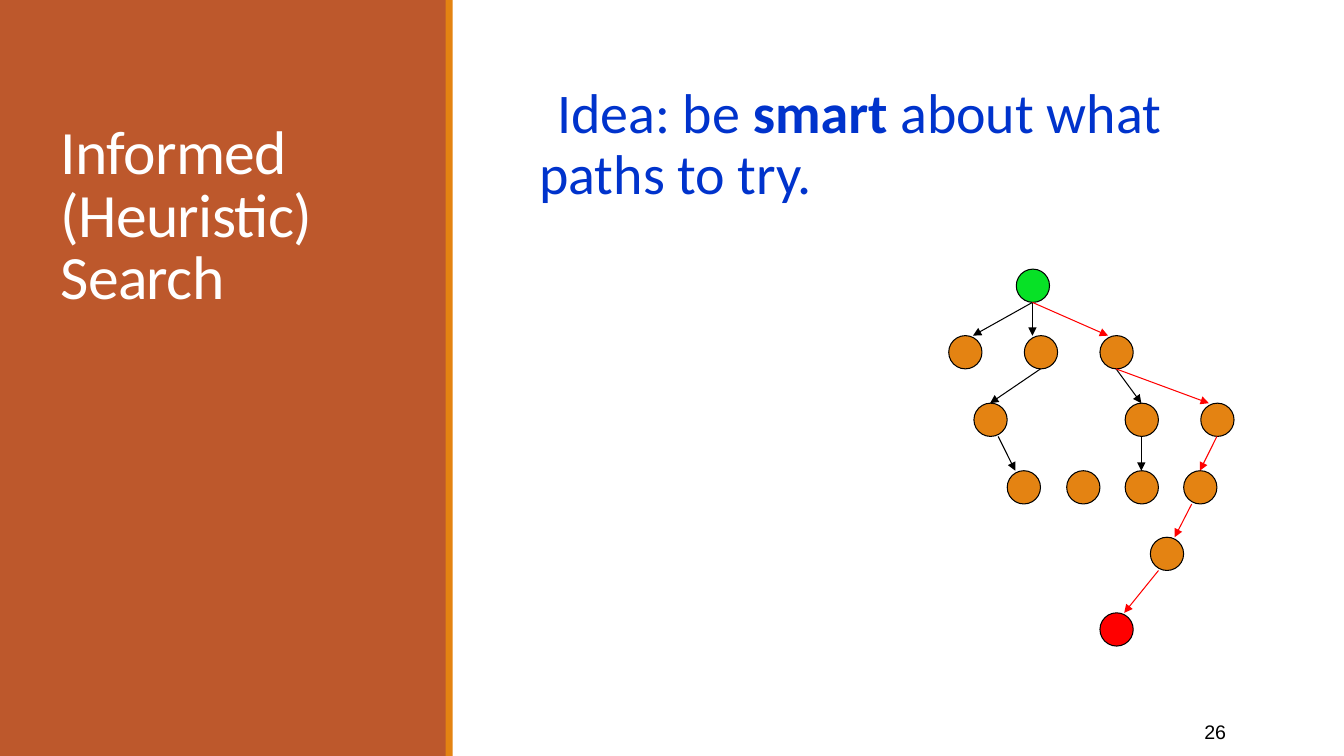
from dataclasses import dataclass
from typing import Any

import lxml.etree
import pptx
import pptx.dml.color
import pptx.enum.shapes
import pptx.enum.text
import pptx.oxml.ns
import pptx.util

EMU_PER_PX = 9144
NODE_SIZE = 33
SHIFT = 8
BLACK, RED, ORANGE, GREEN = "000000", "FF0000", "E48312", "07E126"
RUST, BLUE, WHITE = "BD582C", "0033CC", "FFFFFF"
SHAPE = pptx.enum.shapes.MSO_SHAPE
ALIGN = pptx.enum.text.PP_ALIGN
ANCHOR = pptx.enum.text.MSO_ANCHOR


@dataclass
class Node:
    left: int
    top: int
    fill: str = ORANGE


@dataclass
class Edge:
    parent: str
    child: str
    color: str = BLACK
    parent_side: int = 0
    child_side: int = 0


NODES = {
    "start": Node(1008, 267, GREEN),
    "a": Node(941, 333),
    "b": Node(1016, 333),
    "c": Node(1091, 333),
    "d": Node(966, 400),
    "e": Node(1116, 400),
    "f": Node(1191, 400),
    "g": Node(999, 467),
    "h": Node(1058, 467),
    "i": Node(1116, 467),
    "j": Node(1174, 467),
    "k": Node(1141, 533),
    "goal": Node(1091, 608, RED),
}
EDGES = [
    Edge("start", "a", child_side=1),
    Edge("start", "b", child_side=-1),
    Edge("start", "c", RED, child_side=-1),
    Edge("b", "d"),
    Edge("c", "e"),
    Edge("c", "f", RED, child_side=-1),
    Edge("d", "g", parent_side=1, child_side=-1),
    Edge("e", "i"),
    Edge("f", "j", RED),
    Edge("j", "k", RED, -1, 1),
    Edge("k", "goal", RED, -1, 1),
]


def px(n: int) -> int:
    return pptx.util.Emu(n * EMU_PER_PX)


def rgb(value: str) -> pptx.dml.color.RGBColor:
    return pptx.dml.color.RGBColor.from_string(value)


def apply(target: Any, values: dict[str, Any]) -> None:
    for name, value in values.items():
        setattr(target, name, value)


def add_child(parent: Any, tag: str, **attrs: str) -> Any:
    return lxml.etree.SubElement(parent, pptx.oxml.ns.qn(tag), attrs)


def place(sp: Any, left: int, top: int, width: int, height: int) -> None:
    apply(sp, {"left": px(left), "top": px(top),
               "width": px(width), "height": px(height)})


def add_filled(shapes: Any, kind: Any, box: tuple[int, int, int, int],
               fill: str, line: str | None = None) -> None:
    sp = shapes.add_shape(kind, *map(px, box))
    sp.shadow.inherit = False
    sp.fill.solid()
    sp.fill.fore_color.rgb = rgb(fill)
    if line:
        sp.line.color.rgb = rgb(line)
        sp.line.width = pptx.util.Pt(0.75)
    else:
        sp.line.fill.background()


def add_run(p: Any, text: str, size: int, font: str, color: str,
            bold: bool = False) -> Any:
    r = p.add_run()
    r.text = text
    apply(r.font, {"size": pptx.util.Pt(size), "name": font, "bold": bold})
    r.font.color.rgb = rgb(color)
    return r


def add_edge(shapes: Any, edge: Edge) -> None:
    parent, child = NODES[edge.parent], NODES[edge.child]
    half = NODE_SIZE // 2
    line = shapes.add_connector(
        pptx.enum.shapes.MSO_CONNECTOR.STRAIGHT,
        px(parent.left + half + edge.parent_side * SHIFT),
        px(parent.top + NODE_SIZE),
        px(child.left + half + edge.child_side * SHIFT),
        px(child.top),
    )
    line.line.color.rgb = rgb(edge.color)
    line.line.width = pptx.util.Pt(0.75)
    add_child(line.line._get_or_add_ln(), "a:tailEnd", type="triangle")
    add_child(line._element.spPr, "a:effectLst")


def fill_title(sp: Any) -> None:
    place(sp, 50, 65, 350, 250)
    tf = sp.text_frame
    apply(tf, {"word_wrap": True, "vertical_anchor": ANCHOR.BOTTOM,
               "auto_size": pptx.enum.text.MSO_AUTO_SIZE.NONE})
    p = tf.paragraphs[0]
    apply(p, {"alignment": ALIGN.LEFT, "line_spacing": 0.85})
    r = add_run(p, "Informed (Heuristic) Search", 44, "Calibri", WHITE)
    r.font._element.set("spc", "-50")


def add_idea(shapes: Any) -> None:
    tf = shapes.add_textbox(px(525), px(80), px(710), px(575)).text_frame
    apply(tf, {"word_wrap": True, "margin_left": 0, "margin_right": 0})
    p = tf.paragraphs[0]
    apply(p, {"line_spacing": 0.9, "space_before": pptx.util.Pt(12),
              "space_after": pptx.util.Pt(2)})
    pPr = p._p.get_or_add_pPr()
    pPr.set("marL", str(px(10)))
    pPr.set("indent", str(-px(10)))
    add_child(pPr, "a:buChar", char=" ")
    for text, bold in (("Idea: be ", False), ("smart ", True),
                       ("about what paths to try.", False)):
        add_run(p, text, 40, "Calibri", BLUE, bold)


def add_page_number(shapes: Any) -> None:
    tf = shapes.add_textbox(px(1083), px(706), px(143), px(40)).text_frame
    apply(tf, {"word_wrap": True, "vertical_anchor": ANCHOR.MIDDLE})
    p = tf.paragraphs[0]
    p.alignment = ALIGN.RIGHT
    add_run(p, "26", 14, "Arial", BLACK)


def main() -> None:
    prs = pptx.Presentation()
    apply(prs, {"slide_width": px(1333), "slide_height": px(750)})
    s = prs.slides.add_slide(prs.slide_layouts.get_by_name("Title Only"))
    shapes = s.shapes
    title = shapes.title
    add_filled(shapes, SHAPE.RECTANGLE, (0, 0, 443, 750), RUST)
    add_filled(shapes, SHAPE.RECTANGLE, (442, 0, 7, 750), ORANGE)
    shapes._spTree.append(title._element)
    fill_title(title)
    add_idea(shapes)
    add_page_number(shapes)
    for node in NODES.values():
        add_filled(shapes, SHAPE.OVAL,
                   (node.left, node.top, NODE_SIZE, NODE_SIZE), node.fill, BLACK)
    for edge in EDGES:
        add_edge(shapes, edge)
    prs.save("out.pptx")


if __name__ == "__main__":
    main()
